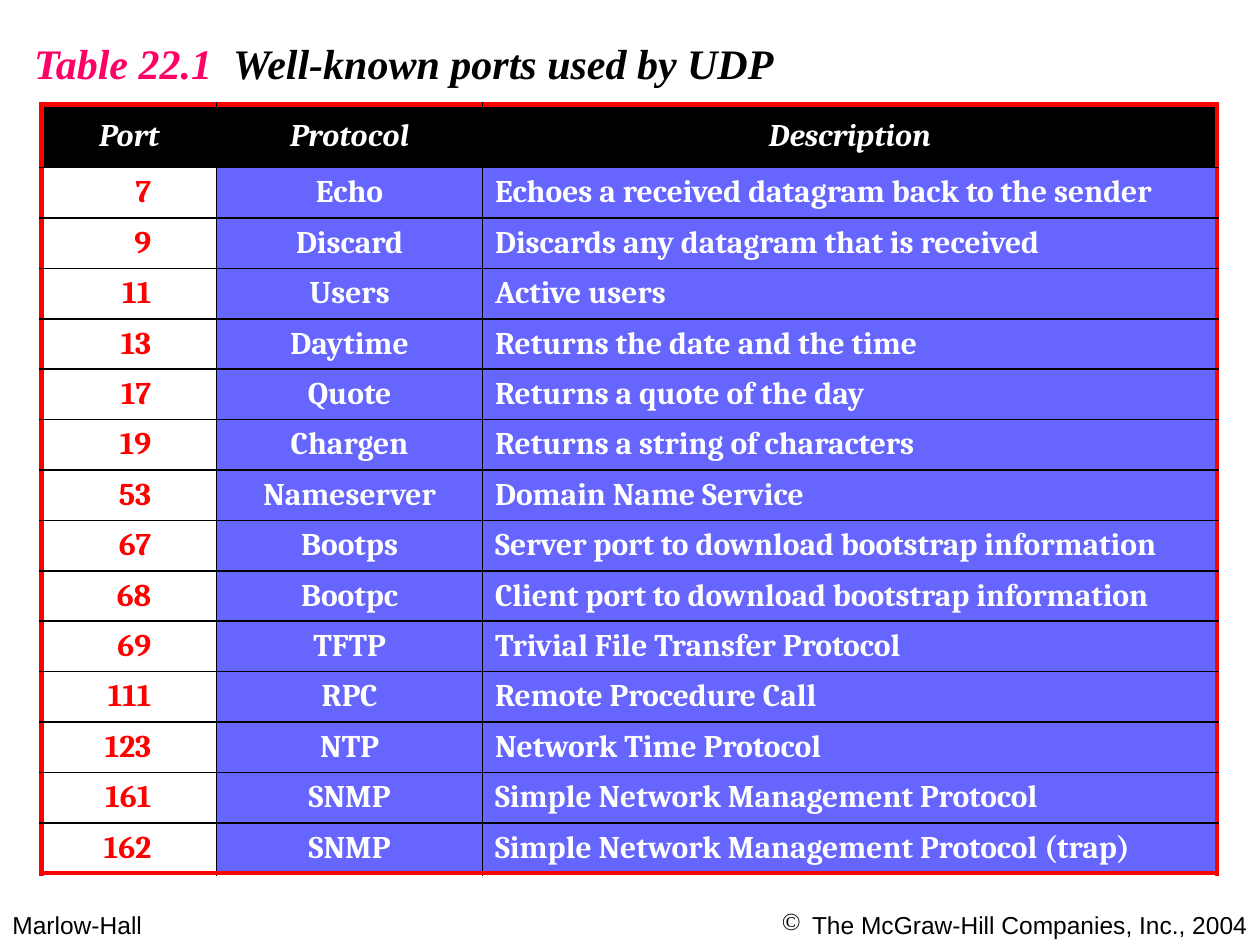
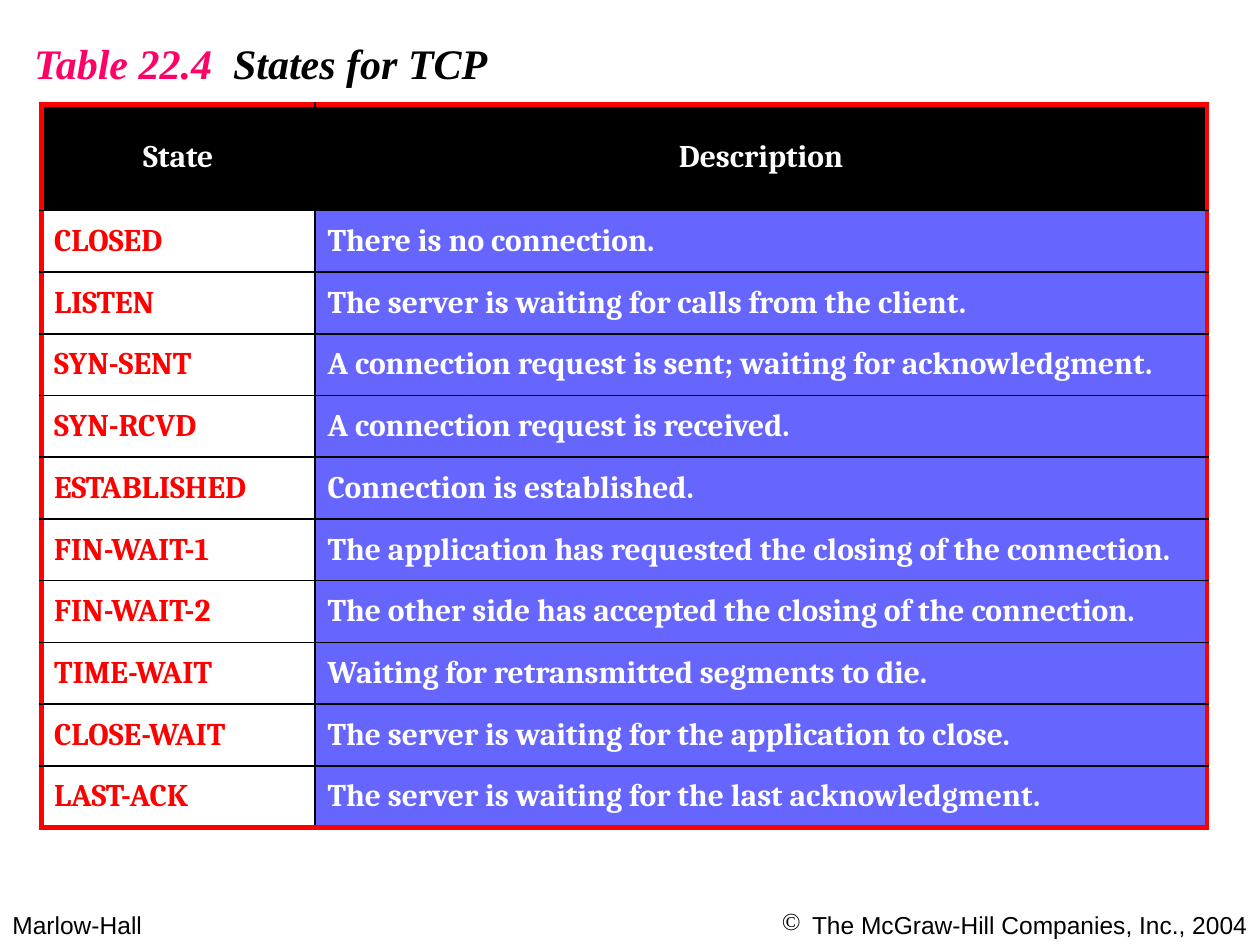
import pptx
import pptx.dml.color
import pptx.enum.text
import pptx.oxml
import pptx.oxml.ns
import pptx.util

Inches = pptx.util.Inches
Pt = pptx.util.Pt
RGBColor = pptx.dml.color.RGBColor
ALIGN = pptx.enum.text.PP_ALIGN
MIDDLE = pptx.enum.text.MSO_ANCHOR.MIDDLE

BLACK = RGBColor(0x00, 0x00, 0x00)
WHITE = RGBColor(0xFF, 0xFF, 0xFF)
RED = RGBColor(0xFF, 0x00, 0x00)
PINK = RGBColor(0xFF, 0x00, 0x66)
VIOLET = RGBColor(0x66, 0x66, 0xFF)

TITLE_FONT = {"name": "Times New Roman", "size": Pt(24), "bold": True, "italic": True}
TABLE_FONT = {"name": "Cambria", "size": Pt(18), "bold": True, "italic": False}
FOOTER_FONT = {"name": "Arial", "size": Pt(14), "bold": False}

FOOTERS = [
    {"left": 0, "width": 2.42, "align": ALIGN.LEFT, "bullet": None, "text": "Marlow-Hall"},
    {"left": 5, "width": 5, "align": ALIGN.RIGHT, "bullet": "©",
     "text": "The McGraw-Hill Companies, Inc., 2004"},
]

TABLES = [
    {
        "number": "Table 22.1",
        "caption": "Well-known ports used by UDP",
        "title_width": 6.2,
        "columns": [1.39, 2.11, 5.83],
        "aligns": [ALIGN.RIGHT, ALIGN.CENTER, ALIGN.LEFT],
        "first_column_right_margin": 0.52,
        "header_height": 0.5,
        "row_height": 0.4,
        "header_italic": True,
        "rows": [
            ("Port", "Protocol", "Description"),
            ("7", "Echo", "Echoes a received datagram back to the sender"),
            ("9", "Discard", "Discards any datagram that is received"),
            ("11", "Users", "Active users"),
            ("13", "Daytime", "Returns the date and the time"),
            ("17", "Quote", "Returns a quote of the day"),
            ("19", "Chargen", "Returns a string of characters"),
            ("53", "Nameserver", "Domain Name Service"),
            ("67", "Bootps", "Server port to download bootstrap information"),
            ("68", "Bootpc", "Client port to download bootstrap information"),
            ("69", "TFTP", "Trivial File Transfer Protocol"),
            ("111", "RPC", "Remote Procedure Call"),
            ("123", "NTP", "Network Time Protocol"),
            ("161", "SNMP", "Simple Network Management Protocol"),
            ("162", "SNMP", "Simple Network Management Protocol (trap)"),
        ],
    },
    {
        "number": "Table 22.4",
        "caption": "States for TCP",
        "title_width": 3.95,
        "columns": [2.17, 7.08],
        "aligns": [ALIGN.LEFT, ALIGN.LEFT],
        "first_column_right_margin": 0.1,
        "header_height": 0.84,
        "row_height": 0.49,
        "header_italic": False,
        "rows": [
            ("State", "Description"),
            ("CLOSED", "There is no connection."),
            ("LISTEN", "The server is waiting for calls from the client."),
            ("SYN-SENT", "A connection request is sent; waiting for acknowledgment."),
            ("SYN-RCVD", "A connection request is received."),
            ("ESTABLISHED", "Connection is established."),
            ("FIN-WAIT-1", "The application has requested the closing of the connection."),
            ("FIN-WAIT-2", "The other side has accepted the closing of the connection."),
            ("TIME-WAIT", "Waiting for retransmitted segments to die."),
            ("CLOSE-WAIT", "The server is waiting for the application to close."),
            ("LAST-ACK", "The server is waiting for the last acknowledgment."),
        ],
    },
]


def add_span(para, text, font_values, color):
    span = para.add_run()
    span.text = text
    for name, value in font_values.items():
        setattr(span.font, name, value)
    span.font.color.rgb = color
    return span


def add_border(cell, side, color, width):
    cell._tc.get_or_add_tcPr().append(pptx.oxml.parse_xml(
        f'<a:ln{side} {pptx.oxml.ns.nsdecls("a")} w="{Pt(width)}">'
        f'<a:solidFill><a:srgbClr val="{color}"/></a:solidFill></a:ln{side}>'))


deck = pptx.Presentation()
deck.slide_width = Inches(10)
deck.slide_height = Inches(7.5)
title_only = deck.slide_layouts[5]

for content in TABLES:
    page = deck.slides.add_slide(title_only)

    for footer in FOOTERS:
        box = page.shapes.add_textbox(
            Inches(footer["left"]), Inches(7.17), Inches(footer["width"]), Inches(0.33))
        box.text_frame.word_wrap = True
        para = box.text_frame.paragraphs[0]
        para.alignment = footer["align"]
        if footer["bullet"]:
            properties = para._p.get_or_add_pPr()
            properties.set("marL", str(Inches(0.24)))
            properties.set("indent", str(Inches(-0.24)))
            properties.append(pptx.oxml.parse_xml(
                f'<a:buChar {pptx.oxml.ns.nsdecls("a")} char="{footer["bullet"]}"/>'))
        add_span(para, footer["text"], FOOTER_FONT, BLACK)

    title = page.shapes.title
    title.left, title.top = Inches(0.17), Inches(0.25)
    title.width, title.height = Inches(content["title_width"]), Inches(0.5)
    title.text_frame.word_wrap = True
    title.text_frame.auto_size = pptx.enum.text.MSO_AUTO_SIZE.NONE
    title.text_frame.vertical_anchor = MIDDLE
    para = title.text_frame.paragraphs[0]
    para.alignment = ALIGN.LEFT
    para._p.get_or_add_pPr().append(pptx.oxml.parse_xml(
        f'<a:tabLst {pptx.oxml.ns.nsdecls("a")}>'
        f'<a:tab pos="{Inches(1.58)}" algn="l"/></a:tabLst>'))
    add_span(para, content["number"] + "\t", TITLE_FONT, PINK)
    add_span(para, content["caption"], TITLE_FONT, BLACK)

    rows, columns = content["rows"], content["columns"]
    last_row, last_column = len(rows) - 1, len(columns) - 1
    total_height = content["header_height"] + last_row * content["row_height"]
    table = page.shapes.add_table(
        len(rows), len(columns), Inches(0.33), Inches(0.83),
        Inches(sum(columns)), Inches(total_height)).table
    table.first_row = False
    table.horz_banding = False
    for column, width in zip(table.columns, columns):
        column.width = Inches(width)

    for row_index, row in enumerate(rows):
        is_header = row_index == 0
        table.rows[row_index].height = Inches(
            content["header_height"] if is_header else content["row_height"])
        for column_index, text in enumerate(row):
            cell = table.cell(row_index, column_index)
            outer_sides = {
                "L": column_index == 0,
                "R": column_index == last_column,
                "T": is_header,
                "B": row_index == last_row,
            }
            for side, is_outer in outer_sides.items():
                add_border(cell, side, RED if is_outer else BLACK, 3 if is_outer else 1)

            if is_header:
                fill, color, align = BLACK, WHITE, ALIGN.CENTER
            elif column_index == 0:
                fill, color, align = WHITE, RED, content["aligns"][0]
                cell.margin_right = Inches(content["first_column_right_margin"])
            else:
                fill, color, align = VIOLET, WHITE, content["aligns"][column_index]
            cell.fill.solid()
            cell.fill.fore_color.rgb = fill
            cell.vertical_anchor = MIDDLE
            cell.margin_top = cell.margin_bottom = Inches(0.02)
            para = cell.text_frame.paragraphs[0]
            para.alignment = align
            span = add_span(para, text, TABLE_FONT, color)
            span.font.italic = is_header and content["header_italic"]

deck.save("out.pptx")
